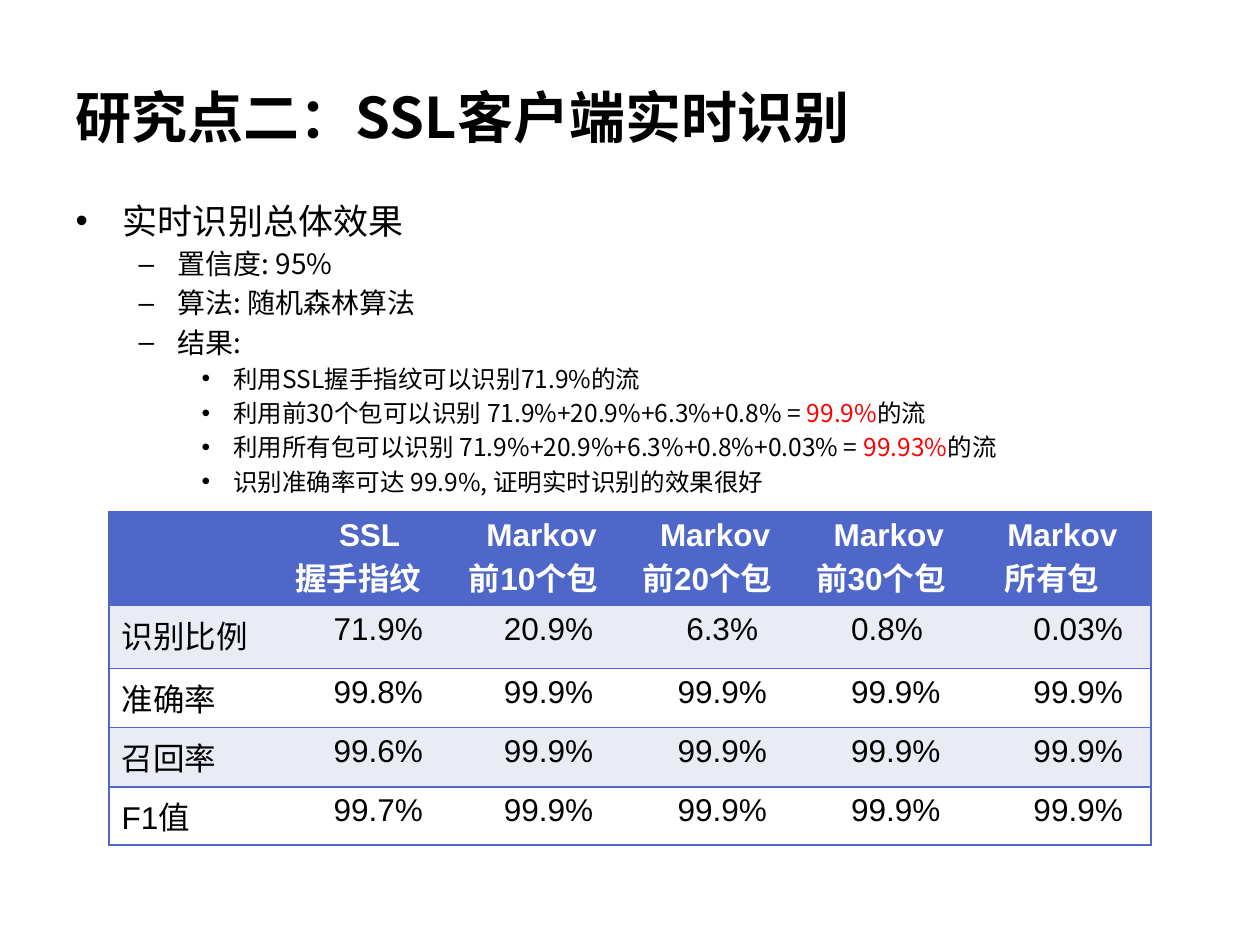
import pptx
import pptx.util
import pptx.dml.color
import pptx.enum.text
import pptx.oxml
import pptx.oxml.ns
from lxml import etree

Pt = pptx.util.Pt
ALIGN = pptx.enum.text.PP_ALIGN
ANCHOR = pptx.enum.text.MSO_ANCHOR
COLORS = {"ink": "000000", "accent": "FF0000", "head": "4E67C8",
          "band": "E9EBF5", "white": "FFFFFF"}
CJK = "Noto Sans CJK SC"
PLAIN_TABLE = "{2D5ABB26-0587-4C30-8999-92F81FD0307C}"


class SlideBuilder:
    def __init__(self, deck):
        self.page = deck.slides.add_slide(deck.slide_layouts[1])

    def color(self, name):
        return pptx.dml.color.RGBColor.from_string(COLORS[name])

    def add_span(self, para, text, size, color="ink", bold=False, font=CJK):
        span = para.add_run()
        span.text = text
        span.font.size = Pt(size)
        span.font.bold = bold
        span.font.color.rgb = self.color(color)
        span.font.name = font
        east_asian = etree.SubElement(span.font._element, pptx.oxml.ns.qn("a:ea"))
        east_asian.set("typeface", CJK)

    def place(self, box, left, top, width, height, anchor):
        box.left, box.top, box.width, box.height = map(Pt, (left, top, width, height))
        box.text_frame.auto_size = pptx.enum.text.MSO_AUTO_SIZE.NONE
        box.text_frame.word_wrap = True
        box.text_frame.vertical_anchor = anchor

    def add_title(self, text, *place):
        box = self.page.shapes.title
        self.place(box, *place, ANCHOR.MIDDLE)
        para = box.text_frame.paragraphs[0]
        para.alignment = ALIGN.LEFT
        self.add_span(para, text, 32, bold=True)

    def add_list(self, items, sizes, *place):
        box = self.page.placeholders[1]
        self.place(box, *place, ANCHOR.TOP)
        for index, (level, spans) in enumerate(items):
            frame = box.text_frame
            para = frame.add_paragraph() if index else frame.paragraphs[0]
            para.level = level
            para.space_before = Pt(0.2 * sizes[level] if index else 0)
            for text, color in spans:
                self.add_span(para, text, sizes[level], color)

    def add_borders(self, cell, sides):
        props = cell._tc.get_or_add_tcPr()
        for index, side in enumerate(sides):
            line = pptx.oxml.parse_xml(
                f'<a:ln{side} {pptx.oxml.ns.nsdecls("a")} w="{Pt(1)}"><a:solidFill>'
                f'<a:srgbClr val="{COLORS["head"]}"/></a:solidFill></a:ln{side}>')
            props.insert(index, line)

    def fill_cell(self, cell, lines, fill, color, bold):
        cell.fill.solid()
        cell.fill.fore_color.rgb = self.color(fill)
        for index, (text, indent, align) in enumerate(lines):
            frame = cell.text_frame
            para = frame.add_paragraph() if index else frame.paragraphs[0]
            para.alignment = align
            para._p.get_or_add_pPr().set("marL", str(Pt(indent)))
            self.add_span(para, text, 18, color, bold, "Arial")

    def add_table(self, rows, heights, left, top, width):
        count = len(rows[0])
        frame = self.page.shapes.add_table(
            len(rows), count, Pt(left), Pt(top), Pt(width), Pt(sum(heights)))
        table = frame.table
        table._tbl.tblPr.find(pptx.oxml.ns.qn("a:tableStyleId")).text = PLAIN_TABLE
        table.horz_banding = False
        for column in table.columns:
            column.width = Pt(width / count)
        for r, (row, height) in enumerate(zip(rows, heights)):
            table.rows[r].height = Pt(height)
            fill = "head" if r == 0 else "band" if r % 2 else "white"
            for c, lines in enumerate(row):
                cell = table.cell(r, c)
                self.fill_cell(cell, lines, fill, "ink" if r else "white", r == 0)
                self.add_borders(cell, {0: "LTB", count - 1: "RTB"}.get(c, "TB"))


def main():
    deck = pptx.Presentation()
    deck.slide_width, deck.slide_height = Pt(720), Pt(540)
    builder = SlideBuilder(deck)

    # Title
    builder.add_title("研究点二：SSL客户端实时识别", 36, 21.6, 648, 90)

    # Bullet list: level and coloured spans
    items = [
        (0, [("实时识别总体效果", "ink")]),
        (1, [("置信度: 95%", "ink")]),
        (1, [("算法: 随机森林算法", "ink")]),
        (1, [("结果:", "ink")]),
        (2, [("利用SSL握手指纹可以识别71.9%的流", "ink")]),
        (2, [("利用前30个包可以识别 71.9%+20.9%+6.3%+0.8% = ", "ink"),
             ("99.9%", "accent"), ("的流", "ink")]),
        (2, [("利用所有包可以识别 71.9%+20.9%+6.3%+0.8%+0.03% = ", "ink"),
             ("99.93%", "accent"), ("的流", "ink")]),
        (2, [("识别准确率可达 99.9%, 证明实时识别的效果很好", "ink")]),
    ]
    builder.add_list(items, (20, 16, 14), 36, 110.2, 658.8, 429.8)

    # Result table: each cell is a list of (text, indent, alignment)
    heads = [("SSL", 25, "握手指纹", 0), ("Markov", 10, "前10个包", 0),
             ("Markov", 10, "前20个包", 0), ("Markov", 10, "前30个包", 0),
             ("Markov", 10, "所有包", 8.5)]
    rows = [[[]] + [[(upper, a, ALIGN.LEFT), (lower, b, ALIGN.LEFT)]
                    for upper, a, lower, b in heads]]
    results = {
        "识别比例": ("71.9%", "20.9%", "6.3%", "0.8%", "0.03%"),
        "准确率": ("99.8%",) + ("99.9%",) * 4,
        "召回率": ("99.6%",) + ("99.9%",) * 4,
        "F1值": ("99.7%",) + ("99.9%",) * 4,
    }
    aligns = [ALIGN.CENTER] + [ALIGN.LEFT] * 4
    for label, values in results.items():
        indents = (10, 20, 25 if values[1] == "20.9%" else 20, 20, 25)
        rows.append([[(label, 0, ALIGN.LEFT)]]
                    + [[cell] for cell in zip(values, indents, aligns)])
    builder.add_table(rows, (51.1, 36, 33.8, 33.8, 32.4), 62.3, 292.6, 595.4)

    deck.save("out.pptx")


if __name__ == "__main__":
    main()
